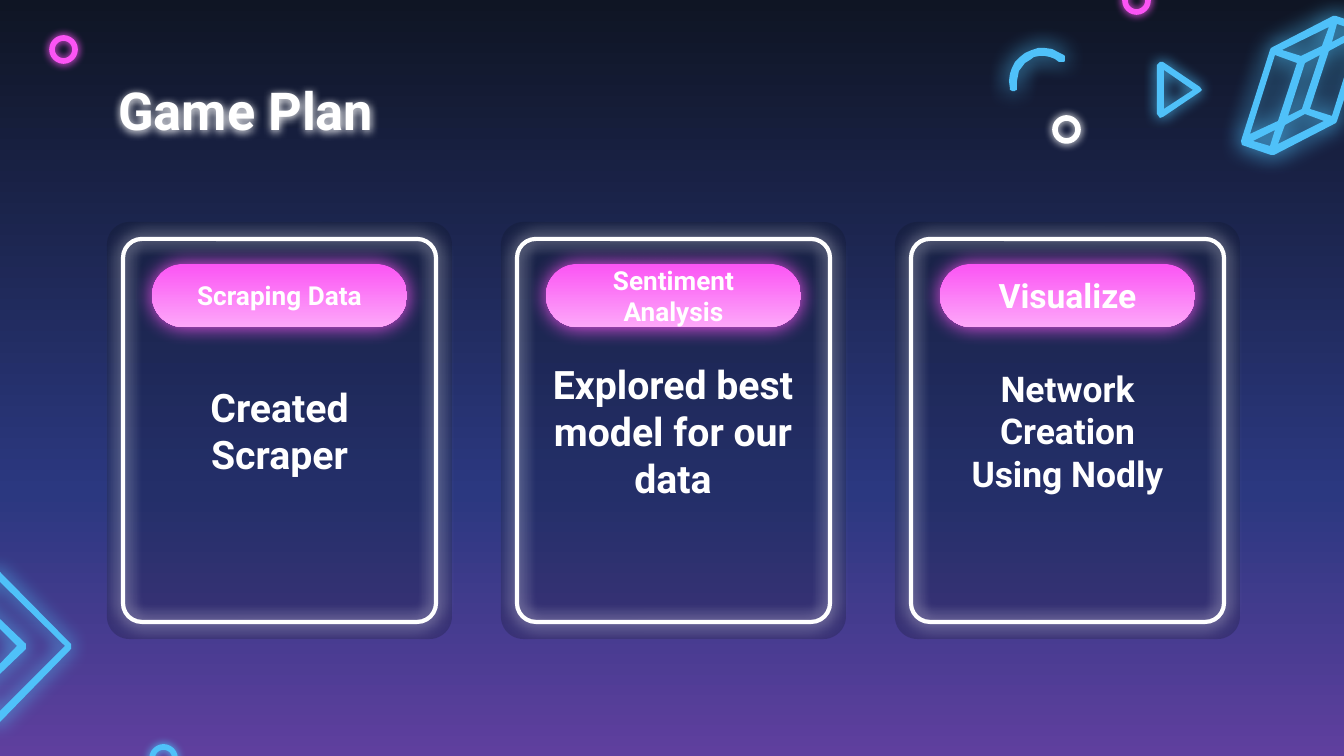
import math

from lxml import etree
from pptx import Presentation
from pptx import util as u
from pptx.dml import color
from pptx.enum import shapes, text
from pptx.oxml import ns

PX = 914400 / 134.4  # EMU in one px
FONT = "Roboto"
COLORS = {"night": "0F1524", "navy": "2B3880", "violet": "5F3F9E",
          "pink": "FB54F4", "blush": "FDA7F9", "sky": "4FC1F9",
          "white": "FFFFFF"}

# Each ornament is a list of closed contours; the first is its outer edge.
PRISM = [
    [(1333, 16), (1271, 48), (1270, 50), (1241, 141), (1242, 145), (1271, 155),
     (1274, 155), (1336, 123), (1337, 121), (1367, 30), (1366, 26), (1336, 16)],
    [(1355, 30), (1332, 42), (1337, 24)],
    [(1329, 27), (1322, 46), (1301, 56), (1282, 50)],
    [(1357, 36), (1332, 116), (1310, 109), (1329, 51)],
    [(1320, 55), (1302, 109), (1288, 116), (1305, 63)],
    [(1297, 63), (1278, 121), (1250, 134), (1275, 55)],
    [(1324, 121), (1278, 144), (1285, 125), (1305, 114)],
    [(1275, 130), (1270, 146), (1253, 141)],
]
TRIANGLE = [
    [(1160, 62), (1157, 65), (1157, 114), (1160, 118), (1163, 117),
     (1200, 92), (1202, 90), (1200, 87), (1163, 62)],
    [(1164, 70), (1193, 90), (1164, 109)],
]
CHEVRONS = [
    [(-30, 594), (-30, 599), (17, 646), (-30, 695), (-30, 699), (-7, 723),
     (-1, 723), (71, 649), (71, 644), (-1, 571), (-7, 571)],
    [(-4, 578), (65, 646), (-4, 715), (-23, 696), (26, 649), (26, 644),
     (-23, 597)],
]


def emu(px):
    return u.Emu(round(px * PX))


def rgb(name):
    return color.RGBColor.from_string(COLORS[name])


def arc(center, radius, start, end, steps=12):
    """Points along a circle, angles in degrees clockwise from the right."""
    angles = [math.radians(start + (end - start) * i / steps)
              for i in range(steps + 1)]
    return [(center[0] + radius * math.cos(a), center[1] + radius * math.sin(a))
            for a in angles]


def hook(center, radius, half, start, end):
    """A thick arc with round ends, as one contour."""
    last, first = arc(center, radius, end, start, 1)
    return [arc(center, radius + half, start, end)
            + arc(last, half, end, end + 180)
            + arc(center, radius - half, end, start)
            + arc(first, half, start + 180, start + 360)]


class Deck:
    def __init__(self, width, height):
        self.prs = Presentation()
        self.prs.slide_width, self.prs.slide_height = emu(width), emu(height)
        self.slide = self.prs.slides.add_slide(self.prs.slide_layouts[5])

    def gradient(self, fill, element, stops):
        fill.gradient()
        fill.gradient_angle = 270
        stop_list = element.find(".//" + ns.qn("a:gsLst"))
        for old in list(stop_list):
            stop_list.remove(old)
        for percent, name in stops:
            stop = etree.SubElement(stop_list, ns.qn("a:gs"), pos=str(percent * 1000))
            etree.SubElement(stop, ns.qn("a:srgbClr"), val=COLORS[name])

    def background(self, stops):
        self.gradient(self.slide.background.fill, self.slide.element, stops)

    def glow(self, shape, name, blur):
        shape.shadow.inherit = False
        effects = shape.element.find(".//" + ns.qn("a:effectLst"))
        halo = etree.SubElement(effects, ns.qn("a:outerShdw"), blurRad=str(u.Pt(blur)),
                                dist="0", dir="0", algn="bl", rotWithShape="0")
        etree.SubElement(halo, ns.qn("a:srgbClr"), val=COLORS[name])

    def shape(self, kind, box, line=None, width=0, adj=None, parent=None):
        shape = (parent or self.slide).shapes.add_shape(kind, *map(emu, box))
        shape.shadow.inherit = False
        shape.fill.background()
        if line:
            shape.line.color.rgb = rgb(line)
            shape.line.width = u.Pt(width)
        else:
            shape.line.fill.background()
        if adj is not None:
            shape.adjustments[0] = adj
        return shape

    def ring(self, x, y, name):
        ring = self.shape(shapes.MSO_SHAPE.OVAL, (x, y, 23, 23), name, 3)
        self.glow(ring, name, 4.5)

    def ornament(self, contours, blur):
        builder = self.slide.shapes.build_freeform(*contours[0][0], scale=PX)
        for i, contour in enumerate(contours):
            if i:
                builder.move_to(*contour[0])
            builder.add_line_segments(contour[1:], close=True)
        ornament = builder.convert_to_shape()
        ornament.fill.solid()
        ornament.fill.fore_color.rgb = rgb("sky")
        ornament.line.fill.background()
        self.glow(ornament, "sky", blur)

    def label(self, shape, words, size, align=text.PP_ALIGN.CENTER,
              anchor=text.MSO_ANCHOR.MIDDLE):
        frame = shape.text_frame
        frame.text = words
        frame.word_wrap = True
        frame.auto_size = text.MSO_AUTO_SIZE.NONE
        frame.vertical_anchor = anchor
        frame.margin_left = frame.margin_right = u.Inches(0.1)
        frame.margin_top = frame.margin_bottom = u.Inches(0.1)
        paragraph = frame.paragraphs[0]
        paragraph.alignment = align
        font = paragraph.font
        font.name, font.size, font.bold = FONT, u.Pt(size), True
        font.color.rgb = rgb("white")

    def title(self, words, box):
        title = self.slide.shapes.title
        title.left, title.top, title.width, title.height = map(emu, box)
        self.label(title, words, 28, text.PP_ALIGN.LEFT, text.MSO_ANCHOR.TOP)
        self.glow(title, "white", 4.5)

    def card(self, center):
        rounded = shapes.MSO_SHAPE.ROUNDED_RECTANGLE
        group = self.slide.shapes.add_group_shape()
        panel = self.shape(rounded, (center - 172, 222, 345, 417), adj=0.065,
                           parent=group)
        panel.fill.solid()
        panel.fill.fore_color.rgb = rgb("night")
        tint = panel.element.find(".//" + ns.qn("a:srgbClr"))
        etree.SubElement(tint, ns.qn("a:alpha"), val="24000")
        outline = self.shape(rounded, (center - 156, 239, 313, 383), "white", 2.25,
                             0.06, group)
        self.glow(outline, "white", 9)

    def pill(self, center, words, size):
        pill = self.shape(shapes.MSO_SHAPE.ROUNDED_RECTANGLE,
                          (center - 127, 264, 255, 63), adj=0.5)
        self.gradient(pill.fill, pill.element, [(0, "pink"), (100, "blush")])
        self.glow(pill, "pink", 11.2)
        self.label(pill, words, size)

    def body(self, center, width, words, size):
        box = (center - width // 2, 391, width, 79)
        self.label(self.slide.shapes.add_textbox(*map(emu, box)), words, size)


def main():
    deck = Deck(1344, 756)
    deck.background([(0, "night"), (65, "navy"), (100, "violet")])

    # Neon ornaments
    deck.ornament(PRISM, 12.4)
    deck.ornament(TRIANGLE, 7.9)
    deck.ornament(hook((1043, 82), 30, 4, 170, 308), 12.4)
    deck.ornament(CHEVRONS, 11.2)
    for x, y, name in [(1055, 118, "white"), (1125, -11, "pink"),
                       (152, 747, "sky"), (52, 38, "pink")]:
        deck.ring(x, y, name)

    deck.title("Game Plan", (105, 65, 1134, 85))

    # Steps: heading, its size, result, its size and width
    steps = [("Scraping Data", 14, "Created Scraper", 21, 255),
             ("Sentiment Analysis", 14, "Explored best model for our data", 21, 290),
             ("Visualize", 18, "Network Creation Using Nodly", 19, 255)]
    for i, (heading, heading_size, result, result_size, width) in enumerate(steps):
        center = 279 + 394 * i
        deck.card(center)
        deck.pill(center, heading, heading_size)
        deck.body(center, width, result, result_size)

    deck.prs.save("out.pptx")


if __name__ == "__main__":
    main()
